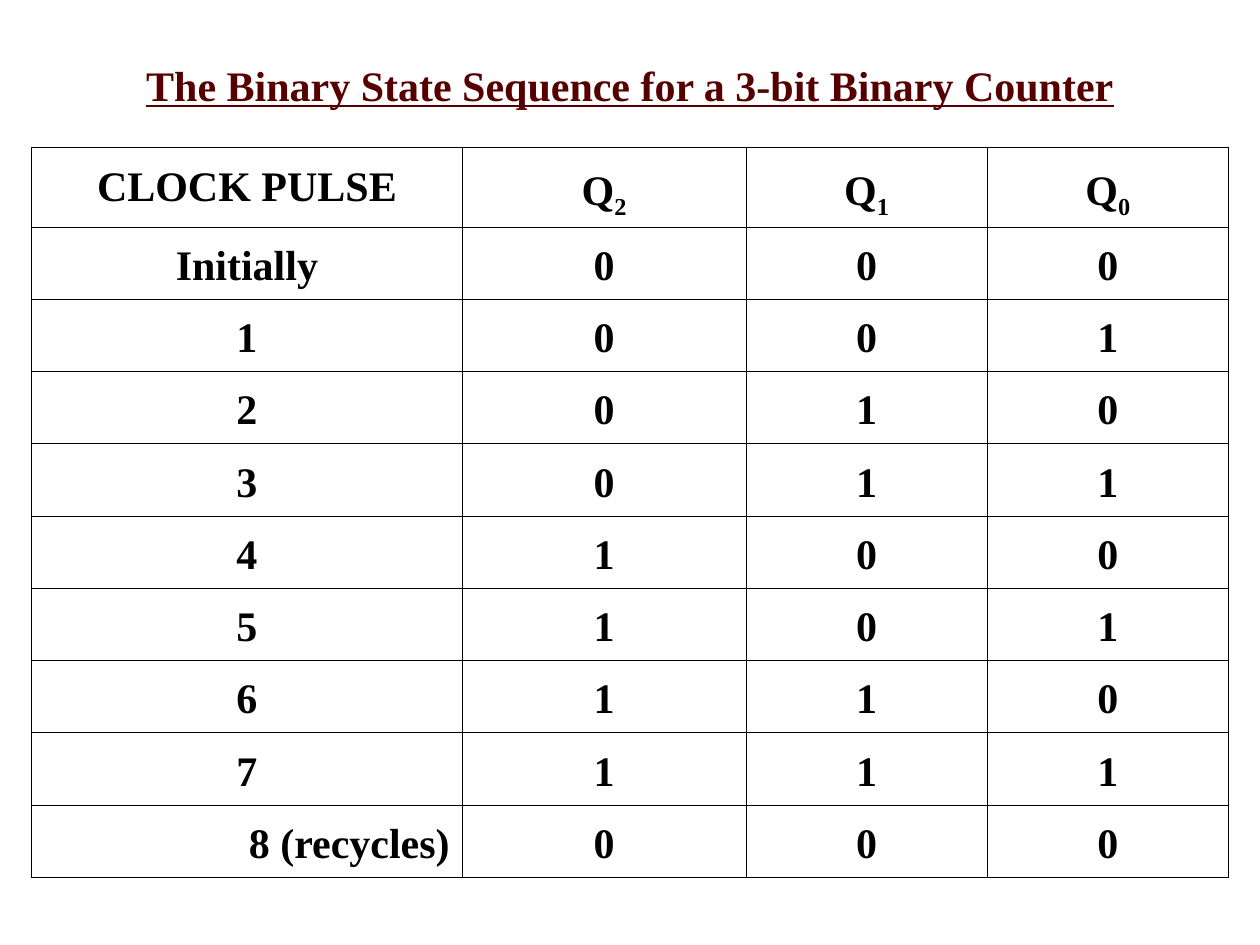
from dataclasses import dataclass

import pptx
import pptx.dml.color
import pptx.enum.text
import pptx.oxml
import pptx.oxml.ns
import pptx.util

Inches = pptx.util.Inches
Align = pptx.enum.text.PP_ALIGN
FONT = "Times New Roman"
BLACK, MAROON = "000000", "570000"
BIT_COUNT = 3
STATE_COUNT = 2 ** BIT_COUNT
OUTER_LINE, INNER_LINE = 0.23, 0.11  # points


@dataclass
class CellText:
    text: str
    subscript: str = ""
    alignment: Align = Align.CENTER


def color(value: str) -> pptx.dml.color.RGBColor:
    return pptx.dml.color.RGBColor.from_string(value)


def add_run(paragraph, text: str, value: str, baseline: int = 0):
    """Add a bold 24-point run, lowered when the baseline is negative."""
    run = paragraph.add_run()
    run.text = text
    run.font.name = FONT
    run.font.size = pptx.util.Pt(24)
    run.font.bold = True
    run.font.color.rgb = color(value)
    if baseline:
        run.font._element.set("baseline", str(baseline))
    return run


def add_border(cell, side: str, width: float) -> None:
    namespace = pptx.oxml.ns.nsdecls("a")
    line = pptx.oxml.parse_xml(
        f'<a:ln{side} {namespace} w="{int(pptx.util.Pt(width))}">'
        f'<a:solidFill><a:srgbClr val="{BLACK}"/></a:solidFill></a:ln{side}>'
    )
    cell._tc.get_or_add_tcPr().append(line)


def fill_cell(cell, content: CellText, outer_sides: dict[str, bool]) -> None:
    cell.margin_left = cell.margin_right = Inches(0.1)
    cell.margin_top, cell.margin_bottom = Inches(0.19), Inches(0.05)
    for side, is_outer in outer_sides.items():
        add_border(cell, side, OUTER_LINE if is_outer else INNER_LINE)
    cell.fill.background()
    paragraph = cell.text_frame.paragraphs[0]
    paragraph.alignment = content.alignment
    paragraph.line_spacing = 0.8
    add_run(paragraph, content.text, BLACK)
    if content.subscript:
        add_run(paragraph, content.subscript, BLACK, baseline=-25000)


def counter_rows() -> list[list[CellText]]:
    """List the header, the initial state and one state per clock pulse."""
    header = [CellText("CLOCK PULSE")]
    header += [CellText("Q", str(bit)) for bit in reversed(range(BIT_COUNT))]
    rows = [header]
    for pulse in range(STATE_COUNT + 1):
        if pulse == 0:
            label = CellText("Initially")
        elif pulse == STATE_COUNT:
            label = CellText(f"{pulse} (recycles)", alignment=Align.RIGHT)
        else:
            label = CellText(str(pulse))
        state = format(pulse % STATE_COUNT, f"0{BIT_COUNT}b")
        rows.append([label] + [CellText(bit) for bit in state])
    return rows


def add_title(slide) -> None:
    title = slide.shapes.title
    title.left, title.top = Inches(0.5), Inches(0.42)
    title.width, title.height = Inches(9), Inches(0.5)
    title.text_frame.vertical_anchor = pptx.enum.text.MSO_ANCHOR.MIDDLE
    paragraph = title.text_frame.paragraphs[0]
    paragraph.alignment = Align.CENTER
    text = "The Binary State Sequence for a 3-bit Binary Counter"
    add_run(paragraph, text, MAROON).font.underline = True


def add_state_table(slide) -> None:
    rows = counter_rows()
    width, height, header_height = 9.5, 5.79, 0.63
    table = slide.shapes.add_table(
        len(rows), BIT_COUNT + 1,
        Inches(0.25), Inches(1.17), Inches(width), Inches(height),
    ).table
    table.first_row = table.horz_banding = False

    # The last two columns share the remaining width
    pulse_width, high_bit_width = 3.42, 2.25
    low_bit_width = (width - pulse_width - high_bit_width) / 2
    widths = [pulse_width, high_bit_width, low_bit_width, low_bit_width]
    for column, column_width in zip(table.columns, widths):
        column.width = Inches(column_width)

    # The state rows share the height below the header
    state_height = (height - header_height) / (len(rows) - 1)
    for row_index, contents in enumerate(rows):
        row_height = state_height if row_index else header_height
        table.rows[row_index].height = Inches(row_height)
        for column_index, content in enumerate(contents):
            outer_sides = {
                "L": column_index == 0,
                "R": column_index == BIT_COUNT,
                "T": row_index == 0,
                "B": row_index == len(rows) - 1,
            }
            fill_cell(table.cell(row_index, column_index), content, outer_sides)


def main() -> None:
    presentation = pptx.Presentation()
    presentation.slide_width = Inches(10)
    presentation.slide_height = Inches(7.5)
    title_only = presentation.slide_layouts[5]
    slide = presentation.slides.add_slide(title_only)
    add_state_table(slide)
    add_title(slide)
    presentation.save("out.pptx")


if __name__ == "__main__":
    main()
